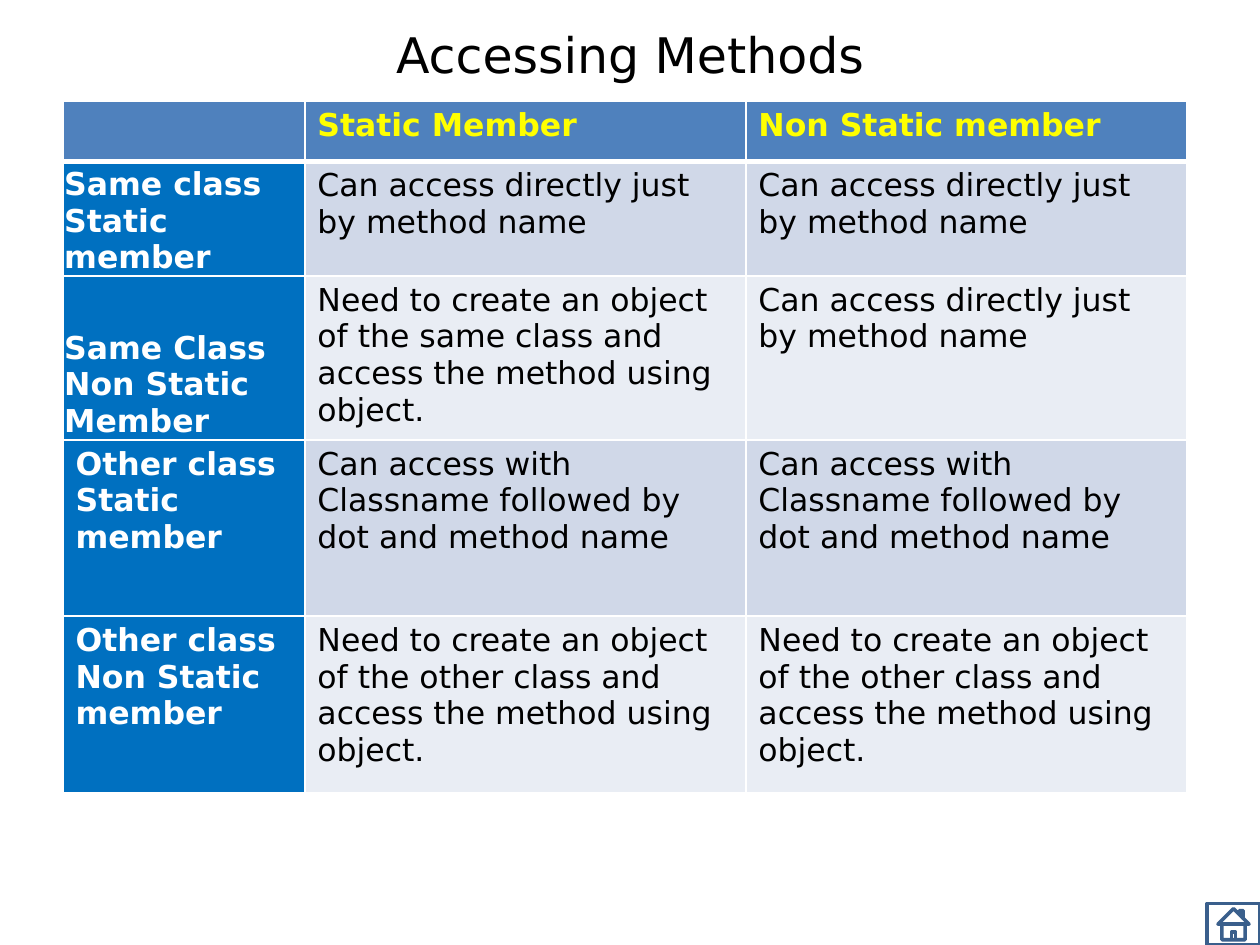
"""Build a slide with a table on access to static and non static methods."""
import pptx
import pptx.util
import pptx.dml.color
import pptx.enum.shapes
import pptx.enum.text
import pptx.oxml
import pptx.oxml.ns

Inches = pptx.util.Inches
Pt = pptx.util.Pt
Anchor = pptx.enum.text.MSO_ANCHOR
FONT = "DejaVu Sans"
WIDTHS = [1.92, 3.5, 3.5]
HEIGHTS = [0.48, 0.75, 1.06, 1.4, 1.4]
DIRECT = "Can access directly just by method name"
DOTTED = "Can access with Classname followed by dot and method name"
OBJECT = "Need to create an object of the {} class and access the method using object."
ROWS = [
    ["", "Static Member", "Non Static member"],
    ["Same class \nStatic member", DIRECT, DIRECT],
    ["Same Class Non Static Member", OBJECT.format("same"), DIRECT],
    ["Other class\nStatic member", DOTTED, DOTTED],
    ["Other class\nNon Static member", OBJECT.format("other"), OBJECT.format("other")],
]


def color(code):
    return pptx.dml.color.RGBColor.from_string(code)


def write(frame, text, size, code, bold=False, align=None):
    frame.text = text
    for para in frame.paragraphs:
        para.alignment = align
        font = para.font
        font.name, font.size, font.bold = FONT, Pt(size), bold
        font.color.rgb = color(code)


def border(cell, side, width, code="FFFFFF"):
    space = pptx.oxml.ns.nsdecls("a")
    line = pptx.oxml.parse_xml(
        f'<a:ln{side} {space} w="{Pt(width)}"><a:solidFill>'
        f'<a:srgbClr val="{code}"/></a:solidFill></a:ln{side}>')
    cell._tc.get_or_add_tcPr().append(line)


def paint(cell, text, row, col):
    if row == 0:
        fill, ink = "4F81BD", "FFFF00"
    elif col == 0:
        fill, ink = "0070C0", "FFFFFF"
    else:
        fill, ink = ("D0D8E8" if row % 2 else "E9EDF4"), "000000"
    write(cell.text_frame, text, 18, ink, row == 0 or col == 0)
    for side in "LRTB":
        heavy = (row, side) in [(0, "B"), (1, "T")]
        border(cell, side, 3 if heavy else 1)
    cell.fill.solid()
    cell.fill.fore_color.rgb = color(fill)
    if col == 0 and row in (1, 2):
        cell.vertical_anchor = Anchor.BOTTOM
        cell.margin_left = cell.margin_right = cell.margin_top = Inches(0.01)
        cell.margin_bottom = 0


def add_title(slide, text):
    box = slide.shapes.add_textbox(Inches(0.5), Inches(0.04), Inches(9), Inches(0.78))
    frame = box.text_frame
    frame.word_wrap = True
    frame.vertical_anchor = Anchor.MIDDLE
    write(frame, text, 28, "000000", align=pptx.enum.text.PP_ALIGN.CENTER)


def add_grid(slide):
    high = Inches(5.68)
    holder = slide.shapes.add_table(
        len(ROWS), len(WIDTHS), Inches(0.5), Inches(0.8), Inches(sum(WIDTHS)), high)
    table = holder.table
    for column, width in zip(table.columns, WIDTHS):
        column.width = Inches(width)
    for line, height in zip(table.rows, HEIGHTS):
        line.height = Inches(height)
    holder.height = high
    for row, texts in enumerate(ROWS):
        for col, text in enumerate(texts):
            paint(table.cell(row, col), text, row, col)


def add_home(slide):
    kind = pptx.enum.shapes.MSO_SHAPE.ACTION_BUTTON_HOME
    home = slide.shapes.add_shape(
        kind, Inches(9.58), Inches(7.17), Inches(0.42), Inches(0.33))
    home.shadow.inherit = False
    home.fill.background()
    home.line.color.rgb = color("3A5F8C")
    home.line.width = Pt(2)


def main():
    deck = pptx.Presentation()
    deck.slide_width, deck.slide_height = Inches(10), Inches(7.5)
    slide = deck.slides.add_slide(deck.slide_layouts[6])
    add_title(slide, "Accessing Methods")
    add_grid(slide)
    add_home(slide)
    deck.save("out.pptx")


main()
